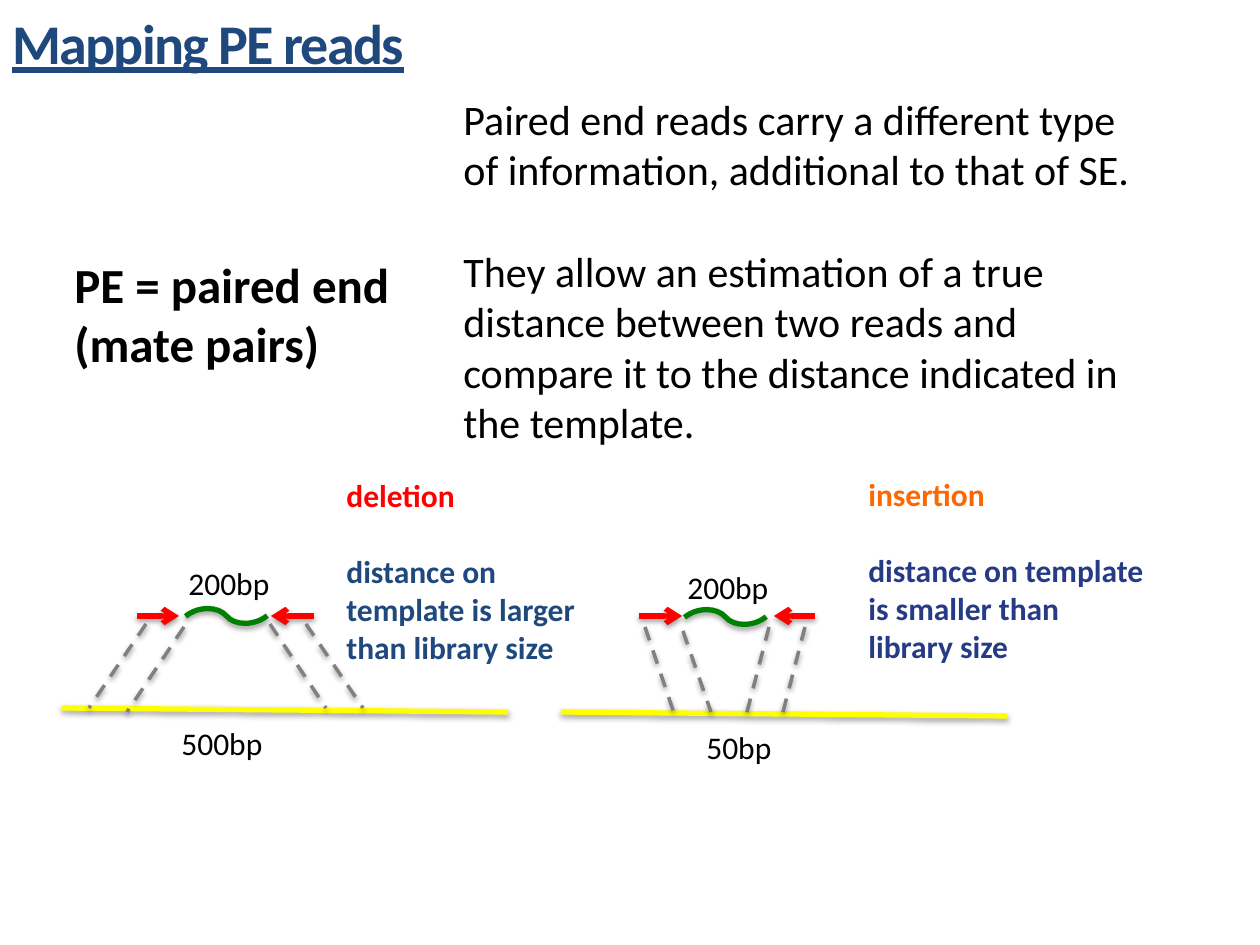
from dataclasses import dataclass
from typing import NamedTuple

from lxml import etree
from pptx import Presentation
from pptx.dml.color import RGBColor
from pptx.enum.dml import MSO_LINE
from pptx.enum.shapes import MSO_CONNECTOR
from pptx.enum.text import MSO_ANCHOR
from pptx.oxml.ns import qn
from pptx.util import Emu, Pt

EMU_PER_PX = 914400 / 126
FONT = "Calibri"
LINE_HEIGHT = 1.22

BLACK = RGBColor(0x00, 0x00, 0x00)
NAVY = RGBColor(0x1F, 0x49, 0x7D)
INDIGO = RGBColor(0x26, 0x3B, 0x86)
RED = RGBColor(0xFF, 0x00, 0x00)
ORANGE = RGBColor(0xFF, 0x66, 0x00)
GREEN = RGBColor(0x00, 0x80, 0x00)
YELLOW = RGBColor(0xFF, 0xFF, 0x00)
GRAY = RGBColor(0x80, 0x80, 0x80)

STRAIGHT = MSO_CONNECTOR.STRAIGHT
CURVE = MSO_CONNECTOR.CURVE
DASH = MSO_LINE.DASH
MIDDLE = MSO_ANCHOR.MIDDLE
TOP = MSO_ANCHOR.TOP


class Area(NamedTuple):
    left: int
    top: int
    width: int
    height: int


class Segment(NamedTuple):
    x1: int
    y1: int
    x2: int
    y2: int


class Line(NamedTuple):
    text: str
    color: RGBColor = BLACK


@dataclass(frozen=True)
class ReadPair:
    """One read pair, its insert, and where it maps on the template."""
    reads: tuple[Segment, Segment]
    insert: Area
    template: Segment
    projections: tuple[Segment, ...]
    library_label: Area
    template_size: str
    template_label: Area
    note: Area
    note_lines: tuple[Line, Line]


READ_PAIRS = (
    ReadPair(
        reads=(Segment(314, 616, 271, 616), Segment(137, 616, 179, 616)),
        insert=Area(195, 590, 63, 52),
        template=Segment(62, 708, 508, 712),
        projections=(
            Segment(146, 624, 89, 708), Segment(184, 627, 127, 712),
            Segment(270, 624, 326, 708), Segment(306, 624, 363, 708),
        ),
        library_label=Area(176, 558, 107, 50),
        template_size="500bp",
        template_label=Area(169, 718, 107, 50),
        note=Area(334, 470, 258, 204),
        note_lines=(
            Line("deletion", RED),
            Line("distance on template is larger than library size", NAVY),
        ),
    ),
    ReadPair(
        reads=(Segment(815, 616, 774, 616), Segment(639, 616, 682, 616)),
        insert=Area(694, 591, 63, 52),
        template=Segment(561, 712, 1007, 716),
        projections=(
            Segment(645, 627, 675, 716), Segment(683, 631, 711, 712),
            Segment(769, 627, 746, 716), Segment(805, 627, 782, 716),
        ),
        library_label=Area(675, 562, 107, 50),
        template_size="50bp",
        template_label=Area(694, 722, 91, 50),
        note=Area(856, 469, 304, 204),
        note_lines=(
            Line("insertion", ORANGE),
            Line("distance on template is smaller than library size", INDIGO),
        ),
    ),
)


def px(length: int) -> Emu:
    return Emu(round(length * EMU_PER_PX))


def add_text(slide, area: Area, lines: tuple[Line, ...], size: int, *,
             bold: bool = False, wrap: bool = True, gap: bool = False,
             anchor=TOP):
    """Add one paragraph per line; gap leaves one line's height between them."""
    box = slide.shapes.add_textbox(*map(px, area))
    frame = box.text_frame
    frame.word_wrap = wrap
    frame.vertical_anchor = anchor
    for index, line in enumerate(lines):
        para = frame.add_paragraph() if index else frame.paragraphs[0]
        if index and gap:
            para.space_before = Pt(round(size * LINE_HEIGHT, 1))
        span = para.add_run()
        span.text = line.text
        span.font.name = FONT
        span.font.size = Pt(size)
        span.font.bold = bold
        span.font.color.rgb = line.color
    return box


def add_shadow(connector) -> None:
    effects = etree.SubElement(connector._element.spPr, qn("a:effectLst"))
    shadow = etree.SubElement(effects, qn("a:outerShdw"), blurRad="40000",
                              dist="20000", dir="5400000", rotWithShape="0")
    color = etree.SubElement(shadow, qn("a:srgbClr"), val="000000")
    etree.SubElement(color, qn("a:alpha"), val="38000")


def add_line(slide, segment: Segment, color: RGBColor, width: int = 3, *,
             kind=STRAIGHT, dash=None, arrow: bool = False):
    connector = slide.shapes.add_connector(kind, *map(px, segment))
    connector.line.color.rgb = color
    connector.line.width = Pt(width)
    if dash is not None:
        connector.line.dash_style = dash
    if arrow:
        outline = connector.line._get_or_add_ln()
        etree.SubElement(outline, qn("a:tailEnd"), type="arrow")
    add_shadow(connector)
    return connector


def add_insert(slide, area: Area) -> None:
    """Draw the unsequenced insert as a wave turned by 320 degrees."""
    segment = Segment(area.left + area.width, area.top + area.height,
                      area.left, area.top)
    wave = add_line(slide, segment, GREEN, kind=CURVE)
    wave._element.spPr.find(qn("a:xfrm")).set("rot", str(320 * 60000))


def add_read_pair(slide, pair: ReadPair) -> None:
    for read in pair.reads:
        add_line(slide, read, RED, arrow=True)
    add_insert(slide, pair.insert)
    add_text(slide, pair.library_label, (Line("200bp"),), 18, wrap=False)
    add_line(slide, pair.template, YELLOW)
    for projection in pair.projections:
        add_line(slide, projection, GRAY, 2, dash=DASH)
    add_text(slide, pair.template_label, (Line(pair.template_size),), 18,
             wrap=False)
    add_text(slide, pair.note, pair.note_lines, 18, bold=True, gap=True)


def main() -> None:
    deck = Presentation()
    deck.slide_width, deck.slide_height = px(1260), px(945)
    slide = deck.slides.add_slide(deck.slide_layouts[6])

    title = add_text(slide, Area(0, 0, 1166, 84),
                     (Line("Mapping PE reads", NAVY),), 32,
                     bold=True, anchor=MIDDLE)
    title_font = title.text_frame.paragraphs[0].runs[0].font
    title_font.underline = True
    title_font._element.set("spc", "-100")

    add_text(slide, Area(62, 248, 344, 131),
             (Line("PE = paired end"), Line("(mate pairs)")), 28,
             bold=True, wrap=False)
    add_text(slide, Area(451, 87, 708, 369), (
        Line("Paired end reads carry a different type of information, "
             "additional to that of SE."),
        Line("They allow an estimation of a true distance between two reads "
             "and compare it to the distance indicated in the template."),
    ), 24, gap=True)

    for pair in READ_PAIRS:
        add_read_pair(slide, pair)
    deck.save("out.pptx")


if __name__ == "__main__":
    main()
